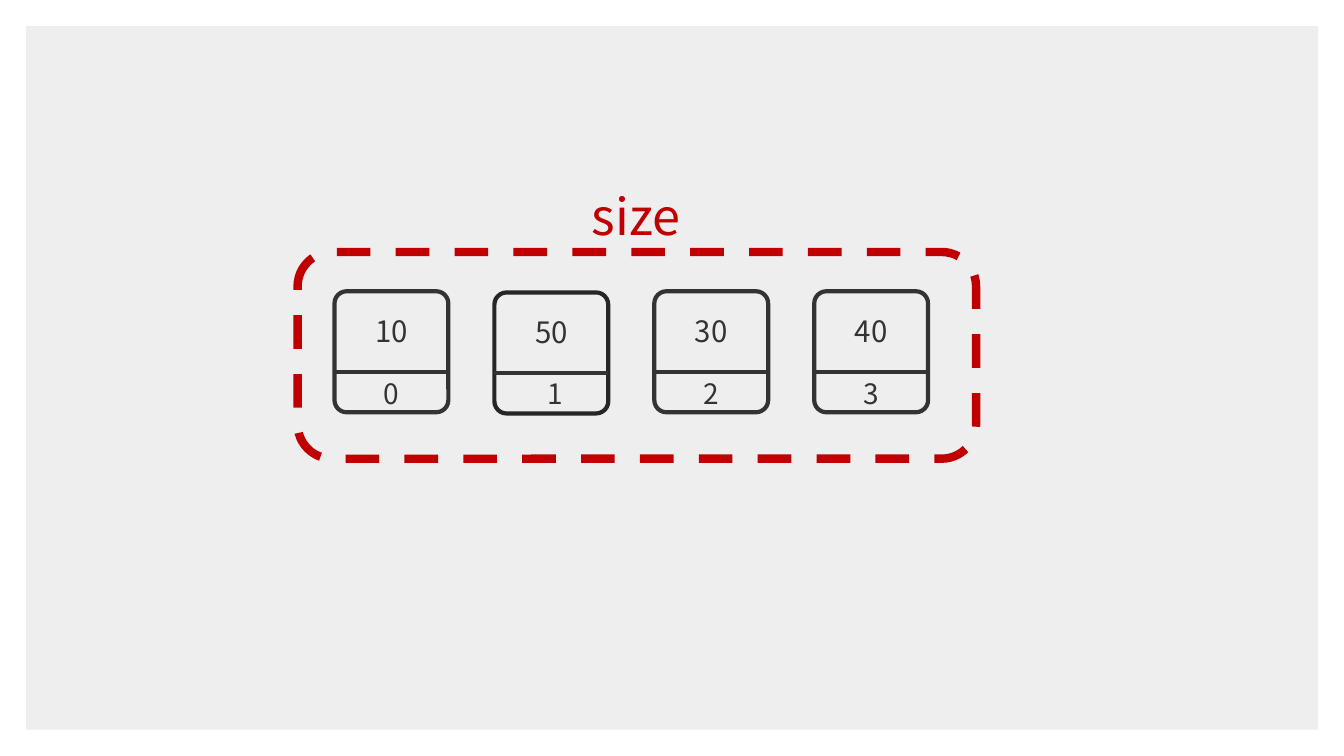
from lxml.etree import SubElement
from pptx import Presentation
from pptx.dml.color import RGBColor
from pptx.enum.dml import MSO_LINE
from pptx.enum.shapes import MSO_CONNECTOR as CONNECTOR, MSO_SHAPE as SHAPE
from pptx.enum.text import MSO_ANCHOR as ANCHOR, PP_ALIGN as ALIGN
from pptx.oxml.ns import qn
from pptx.util import Cm, Pt

FONT = "Noto Sans CJK KR"
DARK, RED, GREY = "333333", "C00000", "EEEEEE"
LABEL = "size"
# value, outline, drop, index shift
CELLS = [
    ("10", DARK, 0, 0),
    ("50", "262626", 0.03, 0.09),
    ("30", DARK, 0, 0),
    ("40", DARK, 0, 0),
]
CELL_LEFT, CELL_TOP, CELL_PITCH = 8.43, 7.34, 4.03
CELL_WIDTH, CELL_HEIGHT = 2.87, 3.05
DIVIDER_DROP, VALUE_DROP = 2.03, 0.43


def paint(target, color):
    target.solid()
    target.fore_color.rgb = RGBColor.from_string(color)


def add_outline(page, kind, left, top, width, height, color, weight):
    shape = page.shapes.add_shape(kind, Cm(left), Cm(top), Cm(width), Cm(height))
    shape.shadow.inherit = False
    shape.fill.background()
    paint(shape.line.fill, color)
    shape.line.width = Pt(weight)
    return shape


def add_divider(page, left, top, width):
    line = page.shapes.add_connector(
        CONNECTOR.STRAIGHT, Cm(left), Cm(top), Cm(left + width), Cm(top))
    paint(line.line.fill, DARK)
    line.line.width = Pt(3)
    SubElement(line._element.spPr, qn("a:effectLst"))


def add_text(page, text, left, top, width, height, size, color,
             align=ALIGN.CENTER, anchor=ANCHOR.TOP, wrap=True):
    box = page.shapes.add_textbox(Cm(left), Cm(top), Cm(width), Cm(height))
    frame = box.text_frame
    frame.text = text
    frame.word_wrap = wrap
    frame.vertical_anchor = anchor
    para = frame.paragraphs[0]
    para.alignment = align
    span = para.runs[0]
    span.font.name = FONT
    span.font.size = Pt(size)
    span.font.color.rgb = RGBColor.from_string(color)


def add_cell(page, position, value, outline, drop, shift):
    left = CELL_LEFT + position * CELL_PITCH
    top = CELL_TOP + drop
    box = add_outline(page, SHAPE.ROUNDED_RECTANGLE, left, top,
                      CELL_WIDTH, CELL_HEIGHT, outline, 3)
    box.adjustments[0] = 0.107
    add_divider(page, left, top + DIVIDER_DROP, CELL_WIDTH)
    add_text(page, value, left, top + VALUE_DROP, CELL_WIDTH, 1.14, 21, DARK,
             anchor=ANCHOR.MIDDLE)
    add_text(page, str(position), left + shift, CELL_TOP + DIVIDER_DROP,
             CELL_WIDTH, 1.12, 20, DARK)


def main():
    deck = Presentation()
    deck.slide_width, deck.slide_height = Cm(33.87), Cm(19.05)
    page = deck.slides.add_slide(deck.slide_layouts[6])

    panel = add_outline(page, SHAPE.RECTANGLE, 0.66, 0.66, 32.56, 17.73, GREY, 1)
    paint(panel.fill, GREY)
    panel.line.fill.background()

    for position, cell in enumerate(CELLS):
        add_cell(page, position, *cell)

    frame = add_outline(page, SHAPE.ROUNDED_RECTANGLE,
                        7.5, 6.35, 17.1, 5.21, RED, 6)
    frame.line.dash_style = MSO_LINE.DASH
    add_text(page, LABEL, 14.66, 4.55, 2.79, 1.8, 36, RED,
             align=ALIGN.LEFT, wrap=False)

    deck.save("out.pptx")


if __name__ == "__main__":
    main()
